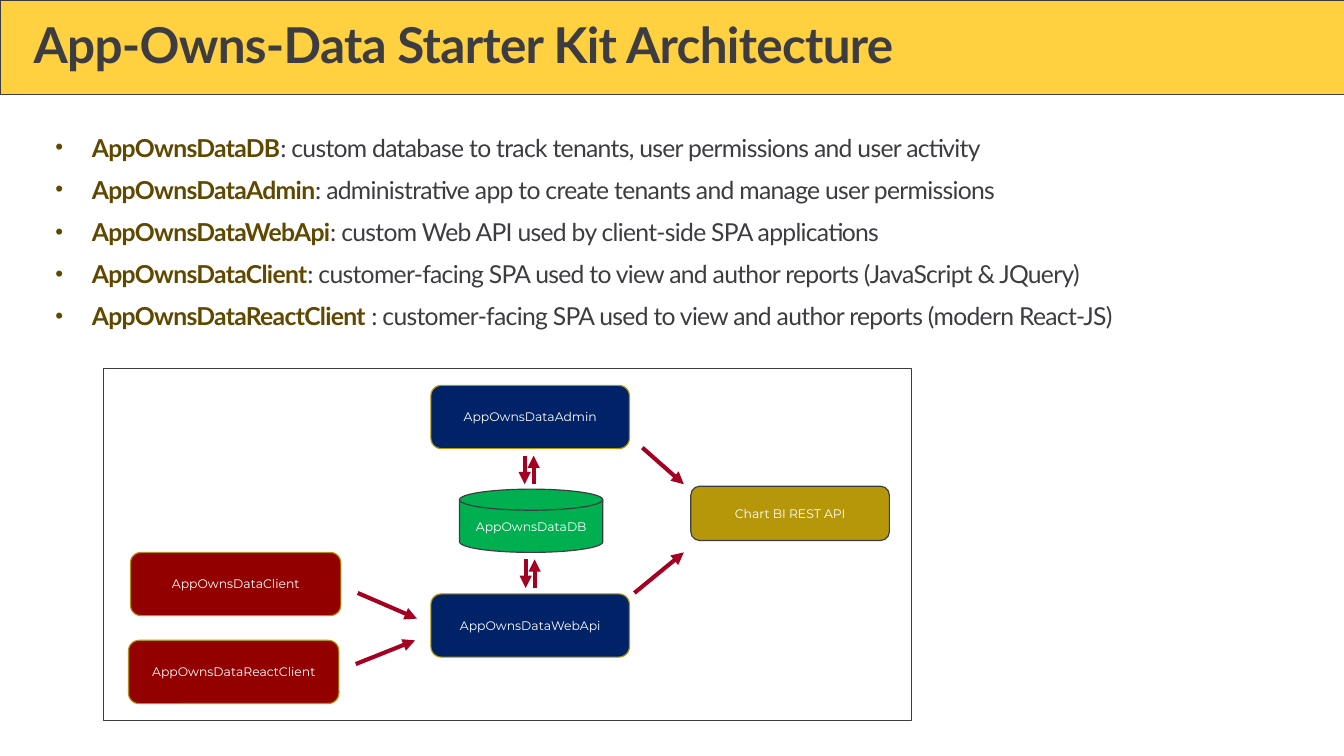
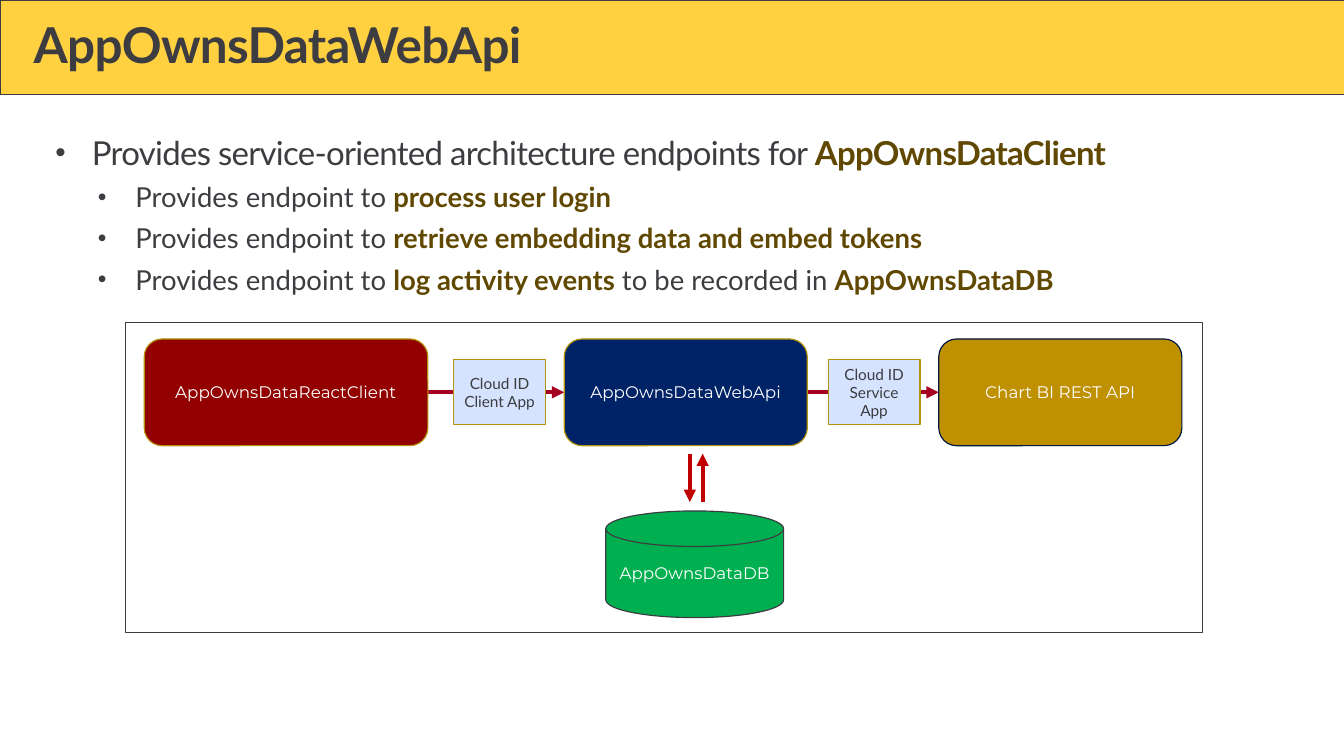
from dataclasses import dataclass
from typing import NamedTuple

from lxml import etree
from pptx import Presentation
from pptx.dml.color import RGBColor
from pptx.enum.shapes import MSO_CONNECTOR, MSO_SHAPE
from pptx.enum.text import MSO_ANCHOR, PP_ALIGN
from pptx.oxml.ns import qn
from pptx.util import Inches, Pt

RECTANGLE = MSO_SHAPE.RECTANGLE
ROUNDED = MSO_SHAPE.ROUNDED_RECTANGLE
DISK = MSO_SHAPE.FLOWCHART_MAGNETIC_DISK
STRAIGHT = MSO_CONNECTOR.STRAIGHT
CENTER, LEFT = PP_ALIGN.CENTER, PP_ALIGN.LEFT
MIDDLE = MSO_ANCHOR.MIDDLE

# The slide is a grid of square cells.
COLUMNS, ROWS = 136, 76.5
CELL = Inches(0.1)

INK, STRONG, WHITE = "3C3C41", "604800", "FFFFFF"
YELLOW, GOLD, ARROW_RED = "FFD040", "B3940B", "A50021"
TEXT_FONT, DIAGRAM_FONT = "Lato", "Montserrat"
TIGHT = -0.5


class Area(NamedTuple):
    """Left, top, width and height in grid cells."""
    left: float
    top: float
    width: float
    height: float

    @property
    def right(self) -> float:
        return self.left + self.width

    @property
    def middle(self) -> float:
        return self.top + self.height / 2


class Style(NamedTuple):
    shape: MSO_SHAPE
    fill: str
    line: str
    line_width: float = 0.85
    font: str = DIAGRAM_FONT
    color: str = WHITE


class Arrow(NamedTuple):
    start: tuple[float, float]
    end: tuple[float, float]
    color: str = ARROW_RED


@dataclass(frozen=True)
class Node:
    text: str
    area: Area
    style: Style
    size: float


@dataclass(frozen=True)
class Bullet:
    """Text with **strong** parts."""
    text: str
    size: float
    indent: float = 3.7
    hanging: float = 3.7
    before: float = 3
    spacing: float = TIGHT


BAND = Style(RECTANGLE, YELLOW, INK, 0.5)
FRAME = Style(RECTANGLE, WHITE, INK, 0.75)
CLIENT = Style(ROUNDED, "920000", GOLD)
SERVICE = Style(ROUNDED, "002267", GOLD)
DATABASE = Style(DISK, "00B050", INK)
IDENTITY = Style(RECTANGLE, "D5E3FF", GOLD, font=TEXT_FONT, color=INK)


def rgb(value: str) -> RGBColor:
    return RGBColor.from_string(value)


def cells(*counts: float) -> list[int]:
    return [round(count * CELL) for count in counts]


def add_span(para, text: str, *, size: float, font: str = TEXT_FONT,
             color: str = INK, bold: bool = False, spacing: float = 0) -> None:
    span = para.add_run()
    span.text = text
    span.font.size = Pt(size)
    span.font.name = font
    span.font.bold = bold
    span.font.color.rgb = rgb(color)
    if spacing:
        span._r.get_or_add_rPr().set("spc", str(round(spacing * 100)))


def add_shape(page, area: Area, style: Style):
    box = page.shapes.add_shape(style.shape, *cells(*area))
    box.shadow.inherit = False
    box.fill.solid()
    box.fill.fore_color.rgb = rgb(style.fill)
    box.line.color.rgb = rgb(style.line)
    box.line.width = Pt(style.line_width)
    return box


def add_node(page, node: Node) -> None:
    frame = add_shape(page, node.area, node.style).text_frame
    frame.word_wrap = True
    frame.vertical_anchor = MIDDLE
    frame.margin_left = frame.margin_right = Inches(0.09)
    para = frame.paragraphs[0]
    para.alignment = CENTER
    add_span(para, node.text, size=node.size, font=node.style.font,
             color=node.style.color)


def add_arrow(page, arrow: Arrow) -> None:
    connector = page.shapes.add_connector(
        STRAIGHT, *cells(*arrow.start, *arrow.end))
    connector.line.color.rgb = rgb(arrow.color)
    connector.line.width = Pt(3)
    line = connector.line._get_or_add_ln()
    etree.SubElement(line, qn("a:tailEnd"), type="triangle")
    etree.SubElement(connector._element.spPr, qn("a:effectLst"))


def add_text_frame(page, area: Area):
    frame = page.shapes.add_textbox(*cells(*area)).text_frame
    frame.word_wrap = True
    frame.margin_left = frame.margin_right = 0
    frame.margin_top = frame.margin_bottom = 0
    return frame


def add_bullet(para, bullet: Bullet) -> None:
    para.alignment = LEFT
    para.space_before = Pt(bullet.before)
    para.space_after = Pt(6)
    properties = para._p.get_or_add_pPr()
    indent, hanging = cells(bullet.indent, bullet.hanging)
    properties.set("marL", str(indent))
    properties.set("indent", str(-hanging))
    etree.SubElement(properties, qn("a:buSzPct"), val="90000")
    etree.SubElement(properties, qn("a:buFont"), typeface="Arial")
    etree.SubElement(properties, qn("a:buChar"), char="•")
    for index, text in enumerate(bullet.text.split("**")):
        if text:
            strong = index % 2 == 1
            add_span(para, text, size=bullet.size, bold=strong,
                     color=STRONG if strong else INK, spacing=bullet.spacing)


def add_page(deck, title: str, bullets: list[Bullet], body_height: float,
             diagram: Area, arrows: list[Arrow], nodes: list[Node]) -> None:
    page = deck.slides.add_slide(deck.slide_layouts[6])
    add_shape(page, Area(0, 0, COLUMNS, 9.6), BAND)
    heading = add_text_frame(page, Area(3.4, 2.1, 129.1, 5.5)).paragraphs[0]
    heading.line_spacing = 0.9
    add_span(heading, title, size=36, bold=True, spacing=TIGHT)

    body = add_text_frame(page, Area(5.6, 13.4, 126.9, body_height))
    for index, bullet in enumerate(bullets):
        para = body.add_paragraph() if index else body.paragraphs[0]
        add_bullet(para, bullet)

    add_shape(page, diagram, FRAME)
    for arrow in arrows:
        add_arrow(page, arrow)
    for node in nodes:
        add_node(page, node)


def exchange(left: float, top: float, bottom: float, gap: float,
             color: str = ARROW_RED) -> list[Arrow]:
    """A downward arrow with an upward one to its right."""
    right = left + gap
    return [Arrow((left, top), (left, bottom), color),
            Arrow((right, bottom), (right, top), color)]


def add_architecture(deck) -> None:
    parts = [
        ("AppOwnsDataDB", ": custom database to track tenants, user permissions and user activity"),
        ("AppOwnsDataAdmin", ": administrative app to create tenants and manage user permissions"),
        ("AppOwnsDataWebApi", ": custom Web API used by client-side SPA applications"),
        ("AppOwnsDataClient", ": customer-facing SPA used to view and author reports (JavaScript & JQuery)"),
        ("AppOwnsDataReactClient", " : customer-facing SPA used to view and author reports (modern React-JS)"),
    ]
    rest_api = Style(ROUNDED, "B7970A", INK)
    size = 9
    nodes = [
        Node("AppOwnsDataAdmin", Area(43.6, 39, 20.1, 6.4), SERVICE, size),
        Node("AppOwnsDataWebApi", Area(43.6, 60.1, 20.1, 6.4), SERVICE, size),
        Node("Chart BI REST API", Area(69.9, 49.2, 20.1, 5.5), rest_api, size),
        Node("AppOwnsDataDB", Area(46.5, 49.5, 14.5, 6.4), DATABASE, size),
        Node("AppOwnsDataClient", Area(13.2, 55.9, 21.3, 6.4), CLIENT, size),
        Node("AppOwnsDataReactClient", Area(13, 64.8, 21.3, 6.4), CLIENT, size),
    ]
    arrows = [
        *exchange(53.1, 46.1, 49, 0.9),
        *exchange(53.2, 56.6, 59.5, 0.9),
        Arrow((65, 45.3), (69.2, 49)),
        Arrow((64.2, 60), (69.2, 55.9)),
        Arrow((36.2, 60), (42.2, 62.6)),
        Arrow((36, 67.2), (42, 64.8)),
    ]
    add_page(deck, "App-Owns-Data Starter Kit Architecture",
             [Bullet(f"**{name}**{role}", 18) for name, role in parts], 24.5,
             Area(10.5, 37.3, 81.7, 35.6), arrows, nodes)


def add_web_api(deck) -> None:
    endpoints = [
        "**process user login**",
        "**retrieve embedding data and embed tokens**",
        "**log activity events** to be recorded in **AppOwnsDataDB**",
    ]
    bullets = [Bullet("Provides service-oriented architecture endpoints for "
                      "**AppOwnsDataClient**", 24)]
    bullets += [Bullet(f"Provides endpoint to {endpoint}", 20, indent=8.1,
                       hanging=3.8, before=0, spacing=0)
                for endpoint in endpoints]

    rest_api = Style(ROUNDED, "BF9000", "001644")
    top, height, size = 34.3, 10.8, 12.2
    chain = [
        Node("AppOwnsDataReactClient", Area(14.6, top, 28.7, height), CLIENT, size),
        Node("AppOwnsDataWebApi", Area(57.1, top, 24.6, height), SERVICE, size),
        Node("Chart BI REST API", Area(95, top, 24.6, height), rest_api, size),
    ]
    arrows = [Arrow((source.area.right, source.area.middle),
                    (target.area.left, target.area.middle))
              for source, target in zip(chain, chain[1:])]
    arrows += exchange(69.8, 45.9, 50.8, 1.3, "C00000")
    database = Node("AppOwnsDataDB", Area(61.3, 51.7, 18, height), DATABASE, size)
    identities = [Node(f"Cloud ID {role} App", Area(left, 36.4, 9.3, 6.6), IDENTITY, 11.2)
                  for role, left in (("Client", 45.9), ("Service", 83.8))]
    add_page(deck, "AppOwnsDataWebApi", bullets, 17.8,
             Area(12.7, 32.6, 109, 31.4), arrows,
             [*chain, database, *identities])


def main() -> None:
    deck = Presentation()
    deck.slide_width, deck.slide_height = cells(COLUMNS, ROWS)
    add_architecture(deck)
    add_web_api(deck)
    deck.save("out.pptx")


if __name__ == "__main__":
    main()
